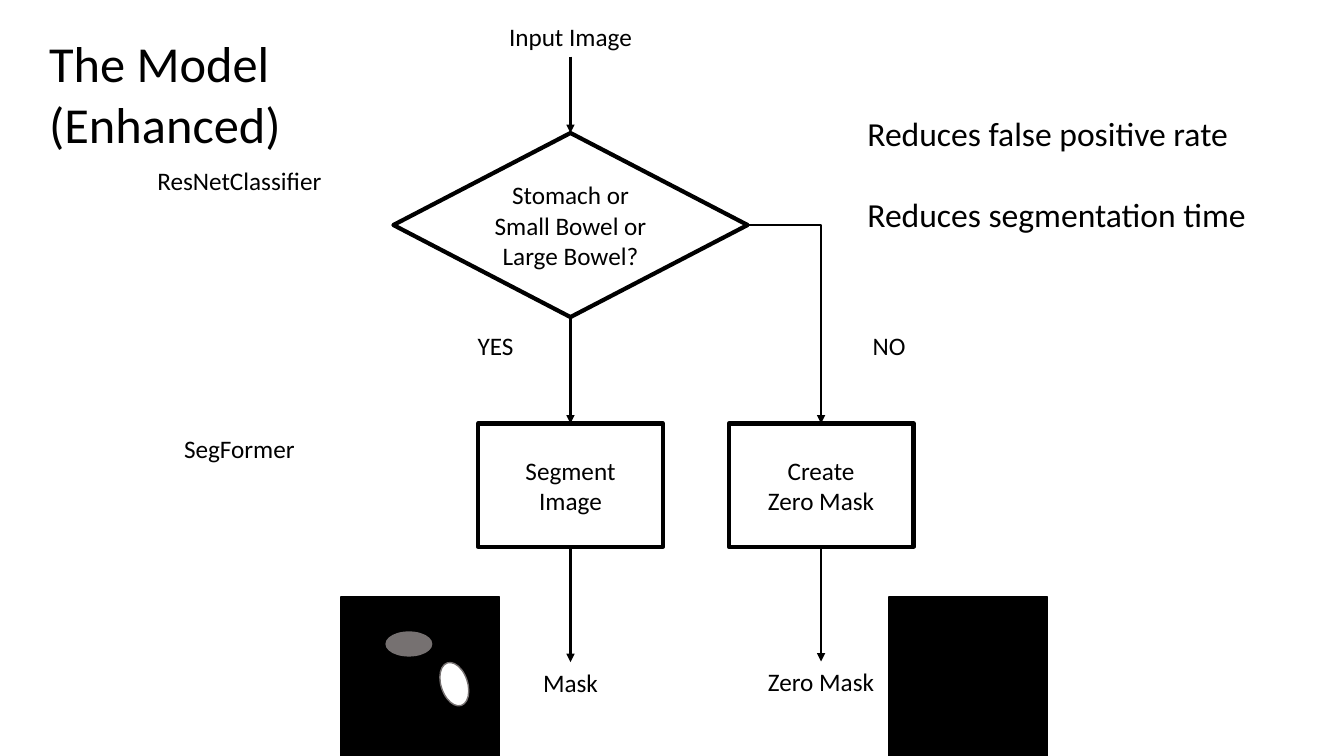
import pptx
import pptx.util
import pptx.dml.color
import pptx.enum.shapes
import pptx.enum.text
import pptx.oxml.ns
import pptx.oxml.xmlchemy

Pt = pptx.util.Pt
RGBColor = pptx.dml.color.RGBColor
SHAPE = pptx.enum.shapes.MSO_SHAPE
CONNECTOR = pptx.enum.shapes.MSO_CONNECTOR
ALIGN = pptx.enum.text.PP_ALIGN
ANCHOR = pptx.enum.text.MSO_ANCHOR

BLACK = RGBColor(0x00, 0x00, 0x00)
WHITE = RGBColor(0xFF, 0xFF, 0xFF)
GRAY = RGBColor(0x76, 0x71, 0x71)
TOP, BOTTOM, RIGHT = 0, 2, 3

YES_CENTER = 407.5
NO_CENTER = 586.5

presentation = pptx.Presentation()
presentation.slide_width = Pt(960)
presentation.slide_height = Pt(540)
slide = presentation.slides.add_slide(presentation.slide_layouts[6])


def write_lines(shape, lines, size, alignment, anchor, space_before=0):
    frame = shape.text_frame
    frame.word_wrap = True
    frame.vertical_anchor = anchor
    font_format = {"name": "Calibri", "size": Pt(size)}
    for index, line in enumerate(lines):
        paragraph = frame.paragraphs[0] if index == 0 else frame.add_paragraph()
        paragraph.text = line
        paragraph.alignment = alignment
        if index and space_before:
            paragraph.space_before = Pt(space_before)
        for name, value in font_format.items():
            setattr(paragraph.font, name, value)
        paragraph.font.color.rgb = BLACK


def add_block(kind, left, top, width, height, fill, line, line_width, lines=()):
    shape = slide.shapes.add_shape(kind, Pt(left), Pt(top), Pt(width), Pt(height))
    shape.shadow.inherit = False
    shape.fill.solid()
    shape.fill.fore_color.rgb = fill
    shape.line.color.rgb = line
    shape.line.width = Pt(line_width)
    if lines:
        write_lines(shape, lines, 18, ALIGN.CENTER, ANCHOR.MIDDLE)
    return shape


nodes = {}
for name, kind, center, top, width, height, lines in (
    ("decision", SHAPE.FLOWCHART_DECISION, YES_CENTER, 95, 253, 131.5,
     ["Stomach or Small Bowel or Large Bowel?"]),
    ("segment", SHAPE.FLOWCHART_PROCESS, YES_CENTER, 302.5, 132, 88, ["Segment", "Image"]),
    ("create", SHAPE.FLOWCHART_PROCESS, NO_CENTER, 302.5, 132, 88, ["Create", "Zero Mask"]),
):
    nodes[name] = add_block(kind, center - width / 2, top, width, height, WHITE, BLACK, 3, lines)

for mask_left in (243.5, 635):
    add_block(SHAPE.FLOWCHART_PROCESS, mask_left, 426.5, 113.4, 113.4, BLACK, BLACK, 1)
add_block(SHAPE.OVAL, 275.8, 451.5, 32.5, 17, GRAY, GRAY, 1)
white_organ = add_block(SHAPE.OVAL, 308.5, 479.2, 32, 19, WHITE, GRAY, 1)
white_organ.rotation = 71.8

for label, center, top, width in (
    ("Input Image", YES_CENTER, 11.5, 112),
    ("Mask", YES_CENTER, 473, 119),
    ("Zero Mask", NO_CENTER, 472.5, 119),
    ("ResNetClassifier", 171, 114.5, 148),
    ("SegFormer", 171, 306, 148),
    ("YES", 354, 232.5, 148),
    ("NO", 635, 232.5, 148),
):
    nodes[label] = slide.shapes.add_textbox(Pt(center - width / 2), Pt(top), Pt(width), Pt(29))
    write_lines(nodes[label], [label], 18, ALIGN.CENTER, ANCHOR.TOP)

for lines, left, top, width, height, size, space_before in (
    (["The Model", "(Enhanced)"], 28, 19.5, 294.5, 138, 36, 0),
    (["Reduces false positive rate", "Reduces segmentation time"], 612.5, 77, 346, 94, 24, 29.3),
):
    heading = slide.shapes.add_textbox(Pt(left), Pt(top), Pt(width), Pt(height))
    write_lines(heading, lines, size, ALIGN.LEFT, ANCHOR.TOP, space_before)

for start, start_site, end in (
    ("Input Image", BOTTOM, "decision"),
    ("decision", BOTTOM, "segment"),
    ("segment", BOTTOM, "Mask"),
    ("decision", RIGHT, "create"),
    ("create", BOTTOM, "Zero Mask"),
):
    bent = start_site == RIGHT
    arrow = slide.shapes.add_connector(CONNECTOR.ELBOW if bent else CONNECTOR.STRAIGHT, 0, 0, 0, 0)
    arrow.begin_connect(nodes[start], start_site)
    arrow.end_connect(nodes[end], TOP)
    arrow.line.color.rgb = BLACK
    arrow.line.width = Pt(2)
    properties = arrow._element.spPr
    if bent:
        properties.find(pptx.oxml.ns.qn("a:prstGeom")).set("prst", "bentConnector2")
    head = pptx.oxml.xmlchemy.OxmlElement("a:tailEnd")
    head.set("type", "triangle")
    properties.find(pptx.oxml.ns.qn("a:ln")).append(head)
    properties.append(pptx.oxml.xmlchemy.OxmlElement("a:effectLst"))

presentation.save("out.pptx")
